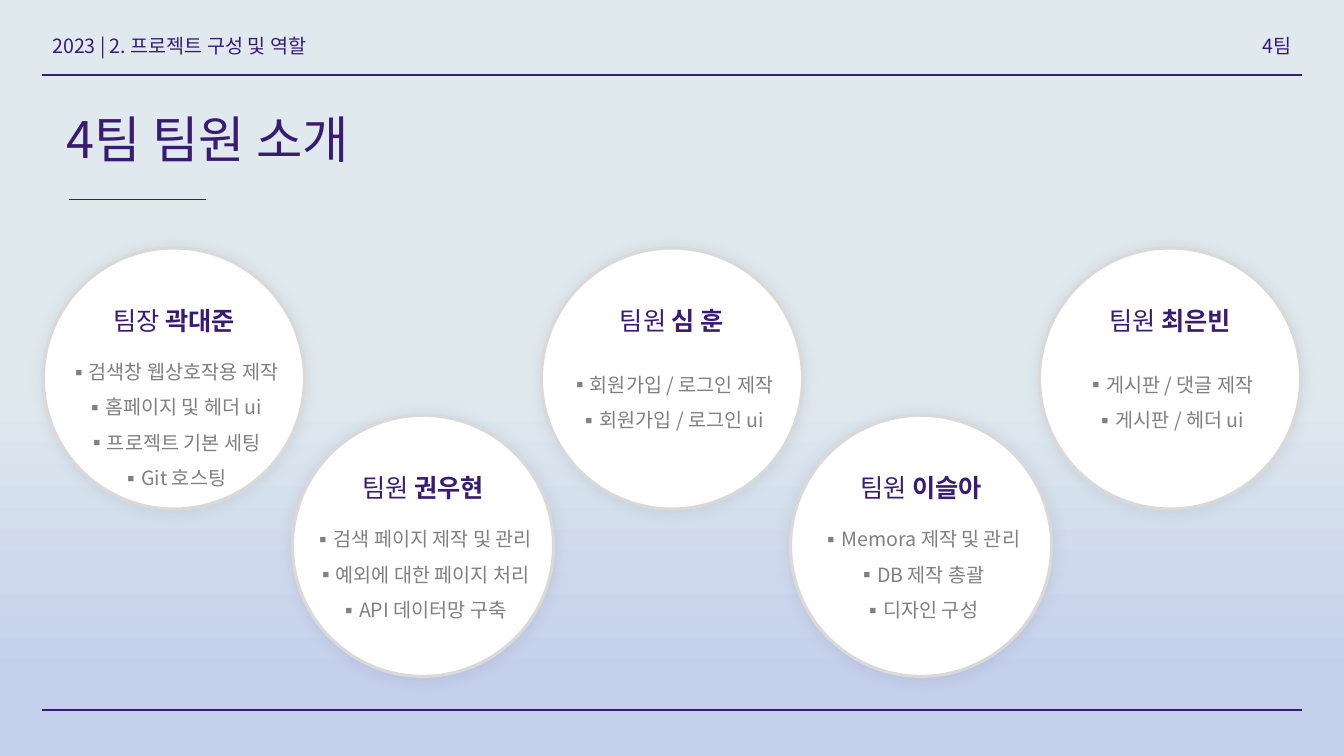
from lxml import etree
from pptx import Presentation
from pptx.dml.color import RGBColor
from pptx.enum import shapes, text
from pptx.oxml import ns
from pptx.util import Inches, Pt

FONT = "Noto Sans CJK KR"
PURPLE = RGBColor(0x39, 0x1C, 0x72)
GRAY = RGBColor(0x80, 0x80, 0x80)
RING = RGBColor(0xD9, 0xD9, 0xD9)
WHITE = RGBColor(0xFF, 0xFF, 0xFF)
SKY = [(0.5, RGBColor(0xE0, 0xEA, 0xEE)), (0.9, RGBColor(0xC4, 0xCF, 0xEC))]

TITLE = "4팀 팀원 소개"
HEADERS = [
    ("2023 | 2. 프로젝트 구성 및 역할", 0.42, text.PP_ALIGN.LEFT),
    ("4팀", 8.71, text.PP_ALIGN.RIGHT),
]
RULES = [(0.42, 12.91, 0.74, 1.5), (0.42, 12.91, 7.04, 1.5), (0.68, 2.04, 1.98, 0.5)]
MEMBERS = [
    ("팀장", "곽대준", 9, ["검색창 웹상호작용 제작", "홈페이지 및 헤더 ui", "프로젝트 기본 세팅", "Git 호스팅"]),
    ("팀원", "권우현", 9, ["검색 페이지 제작 및 관리", "예외에 대한 페이지 처리", "API 데이터망 구축"]),
    ("팀원", "심 훈", 18, ["회원가입 / 로그인 제작", "회원가입 / 로그인 ui"]),
    ("팀원", "이슬아", 9, ["Memora 제작 및 관리", "DB 제작 총괄", "디자인 구성"]),
    ("팀원", "최은빈", 18, ["게시판 / 댓글 제작", "게시판 / 헤더 ui"]),
]
FIRST_LEFT, PITCH, DIAMETER = 0.43, 2.47, 2.59
ROW_TOPS = (2.46, 4.12)


def style(run, size, color, bold=False):
    run.font.size = Pt(size)
    run.font.bold = bold
    run.font.color.rgb = color
    run.font.name = FONT
    etree.SubElement(run.font._element, ns.qn("a:ea"), typeface=FONT)


def add_box(slide, left, top, width, height):
    frame = slide.shapes.add_textbox(
        Inches(left), Inches(top), Inches(width), Inches(height)).text_frame
    frame.word_wrap = True
    return frame


def add_rule(slide, start, end, y, weight):
    rule = slide.shapes.add_connector(
        shapes.MSO_CONNECTOR.STRAIGHT, Inches(start), Inches(y), Inches(end), Inches(y))
    rule.line.color.rgb = PURPLE
    rule.line.width = Pt(weight)
    etree.SubElement(rule._element.spPr, ns.qn("a:effectLst"))


def add_circle(slide, left, top):
    circle = slide.shapes.add_shape(
        shapes.MSO_SHAPE.OVAL, Inches(left), Inches(top), Inches(DIAMETER), Inches(DIAMETER))
    circle.fill.solid()
    circle.fill.fore_color.rgb = WHITE
    circle.line.color.rgb = RING
    circle.line.width = Pt(2.25)
    circle.shadow.inherit = False
    effects = circle._element.spPr.find(ns.qn("a:effectLst"))
    shadow = etree.SubElement(effects, ns.qn("a:outerShdw"), blurRad=str(Pt(11)),
                              dist="0", dir="0", algn="ctr", rotWithShape="0")
    black = etree.SubElement(shadow, ns.qn("a:srgbClr"), val="000000")
    etree.SubElement(black, ns.qn("a:alpha"), val="8000")


def add_bullet(paragraph):
    props = paragraph._p.get_or_add_pPr()
    props.set("marL", str(Inches(0.18)))
    props.set("indent", str(-Inches(0.18)))
    etree.SubElement(props, ns.qn("a:buFont"), typeface=FONT)
    etree.SubElement(props, ns.qn("a:buChar"), char="▪")


def add_member(slide, left, top, role, name, gap, tasks):
    add_circle(slide, left, top)
    frame = add_box(slide, left - 0.01, top + 0.37, DIAMETER + 0.02, 2.1)
    heading = frame.paragraphs[0]
    heading.text = role + " "
    heading.add_run().text = name
    for run, bold in zip(heading.runs, (False, True)):
        style(run, 18, PURPLE, bold)
    for index, task in enumerate(tasks):
        line = frame.add_paragraph()
        line.text = task
        add_bullet(line)
        line.space_before = Pt(0 if index else gap)
        style(line.runs[0], 14, GRAY)
    for line in frame.paragraphs:
        line.alignment = text.PP_ALIGN.CENTER
        line.line_spacing = 1.5


def main():
    deck = Presentation()
    deck.slide_width, deck.slide_height = Inches(13.33), Inches(7.5)
    slide = deck.slides.add_slide(deck.slide_layouts[5])

    sky = slide.background.fill
    sky.gradient()
    sky.gradient_angle = 270
    for stop, (position, color) in zip(sky.gradient_stops, SKY):
        stop.position = position
        stop.color.rgb = color

    title = slide.shapes.title
    title.left, title.top = Inches(0.56), Inches(1.02)
    title.width, title.height = Inches(6.24), Inches(0.71)
    title.text_frame.text = TITLE
    title.text_frame.auto_size = text.MSO_AUTO_SIZE.NONE
    title.text_frame.vertical_anchor = text.MSO_ANCHOR.TOP
    title.text_frame.paragraphs[0].alignment = text.PP_ALIGN.LEFT
    style(title.text_frame.paragraphs[0].runs[0], 36, PURPLE)

    for wording, left, alignment in HEADERS:
        header = add_box(slide, left, 0.29, 4.2, 0.34)
        header.text = wording
        header.paragraphs[0].alignment = alignment
        style(header.paragraphs[0].runs[0], 14, PURPLE)

    for rule in RULES:
        add_rule(slide, *rule)

    for index, member in enumerate(MEMBERS):
        add_member(slide, FIRST_LEFT + index * PITCH, ROW_TOPS[index % 2], *member)

    deck.save("out.pptx")


if __name__ == "__main__":
    main()
